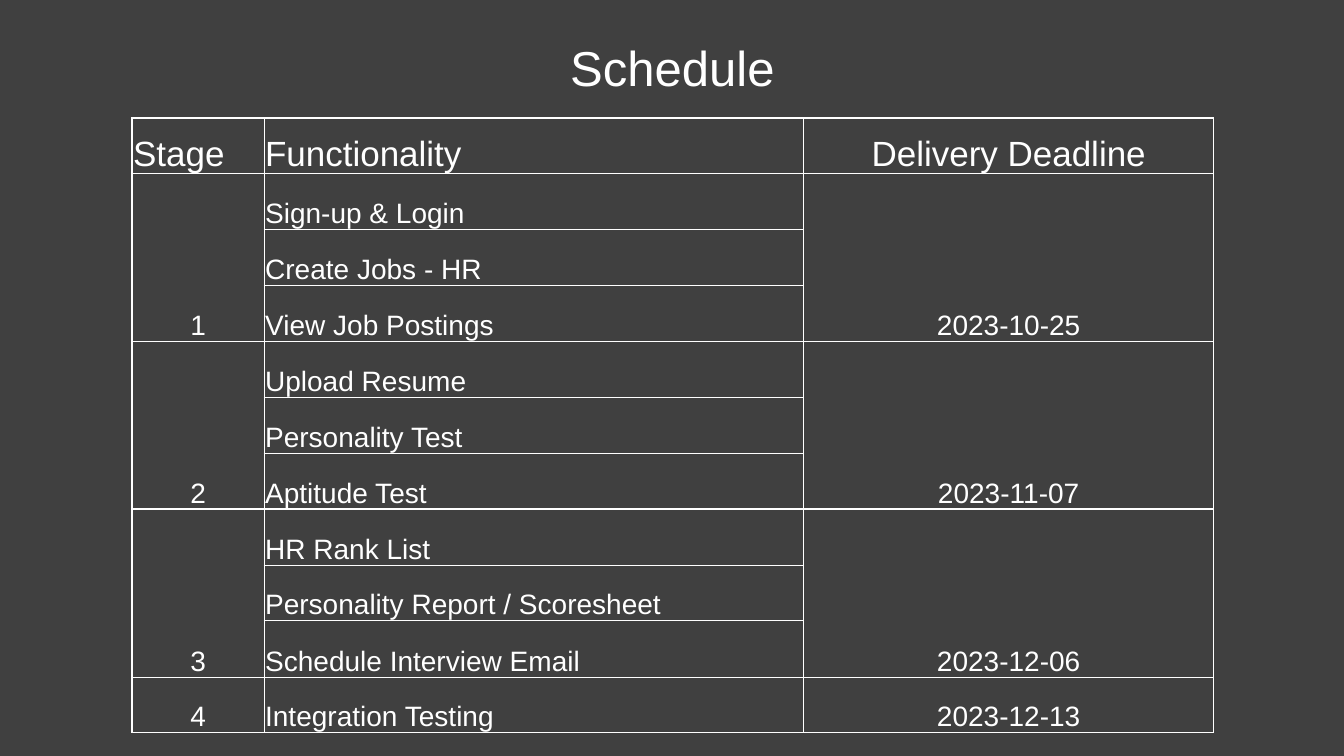
import pptx
import pptx.util
import pptx.dml.color
import pptx.enum.text
import pptx.oxml
import pptx.oxml.ns

COLOURS = {"background": "404040", "text": "FFFFFF", "border": "FFFFFF"}
FONT = "Arial"
EMU_PER_PX = 9144
ALIGN = pptx.enum.text.PP_ALIGN
ANCHOR = pptx.enum.text.MSO_ANCHOR

HEADINGS = ["Stage", "Functionality", "Delivery Deadline"]
STAGES = [
    ("1", ["Sign-up & Login", "Create Jobs - HR", "View Job Postings"], "2023-10-25"),
    ("2", ["Upload Resume", "Personality Test", "Aptitude Test"], "2023-11-07"),
    ("3", ["HR Rank List", "Personality Report / Scoresheet", "Schedule Interview Email"], "2023-12-06"),
    ("4", ["Integration Testing"], "2023-12-13"),
]


def px(length):
    return pptx.util.Emu(length * EMU_PER_PX)


def rgb(name):
    return pptx.dml.color.RGBColor.from_string(COLOURS[name])


def write_text(frame, text, size=20, align=ALIGN.LEFT, colour="text"):
    paragraph = frame.paragraphs[0]
    paragraph.alignment = align
    run = paragraph.add_run()
    run.text = text
    run.font.name = FONT
    run.font.size = pptx.util.Pt(size)
    run.font.color.rgb = rgb(colour)


class SlideBuilder:
    def __init__(self, presentation):
        self.slide = presentation.slides.add_slide(presentation.slide_layouts[6])
        fill = self.slide.background.fill
        fill.solid()
        fill.fore_color.rgb = rgb("background")

    def text_box(self, left, top, width, height, text, **text_format):
        box = self.slide.shapes.add_textbox(px(left), px(top), px(width), px(height))
        box.text_frame.word_wrap = True
        write_text(box.text_frame, text, **text_format)

    def table(self, left, top, widths, height, row_count):
        frame = self.slide.shapes.add_table(
            row_count, len(widths), px(left), px(top), px(sum(widths)), px(height))
        table = frame.table
        table.first_row = False
        table.horz_banding = False
        for column, width in zip(table.columns, widths):
            column.width = px(width)
        edges = [round(height * index / row_count) for index in range(row_count + 1)]
        for row, start, end in zip(table.rows, edges, edges[1:]):
            row.height = px(end - start)
        for cell in table.iter_cells():
            self.style_cell(cell)
        return table

    def style_cell(self, cell):
        cell.fill.background()
        cell.vertical_anchor = ANCHOR.BOTTOM
        cell.margin_left = cell.margin_right = cell.margin_top = px(1)
        cell.margin_bottom = 0
        properties = cell._tc.get_or_add_tcPr()
        for index, side in enumerate(["lnL", "lnR", "lnT", "lnB"]):
            properties.insert(index, pptx.oxml.parse_xml(
                f'<a:{side} {pptx.oxml.ns.nsdecls("a")} w="{pptx.util.Pt(1)}">'
                f'<a:solidFill><a:srgbClr val="{COLOURS["border"]}"/></a:solidFill>'
                f'</a:{side}>'))


def fill_schedule(table):
    alignments = [ALIGN.LEFT, ALIGN.LEFT, ALIGN.CENTER]
    for column, (heading, align) in enumerate(zip(HEADINGS, alignments)):
        write_text(table.cell(0, column).text_frame, heading, size=25, align=align)
    first = 1
    for stage, features, deadline in STAGES:
        last = first + len(features) - 1
        for column, text in [(0, stage), (2, deadline)]:
            cell = table.cell(first, column)
            if last > first:
                cell.merge(table.cell(last, column))
            write_text(cell.text_frame, text, align=ALIGN.CENTER)
        for row, feature in enumerate(features, first):
            write_text(table.cell(row, 1).text_frame, feature)
        first = last + 1


def main():
    presentation = pptx.Presentation()
    presentation.slide_width = px(1333)
    presentation.slide_height = px(750)
    builder = SlideBuilder(presentation)
    row_count = 1 + sum(len(features) for _, features, _ in STAGES)
    fill_schedule(builder.table(131, 117, [131, 535, 407], 610, row_count))
    builder.text_box(202, 32, 930, 69, "Schedule", size=35, align=ALIGN.CENTER)
    presentation.save("out.pptx")


if __name__ == "__main__":
    main()
